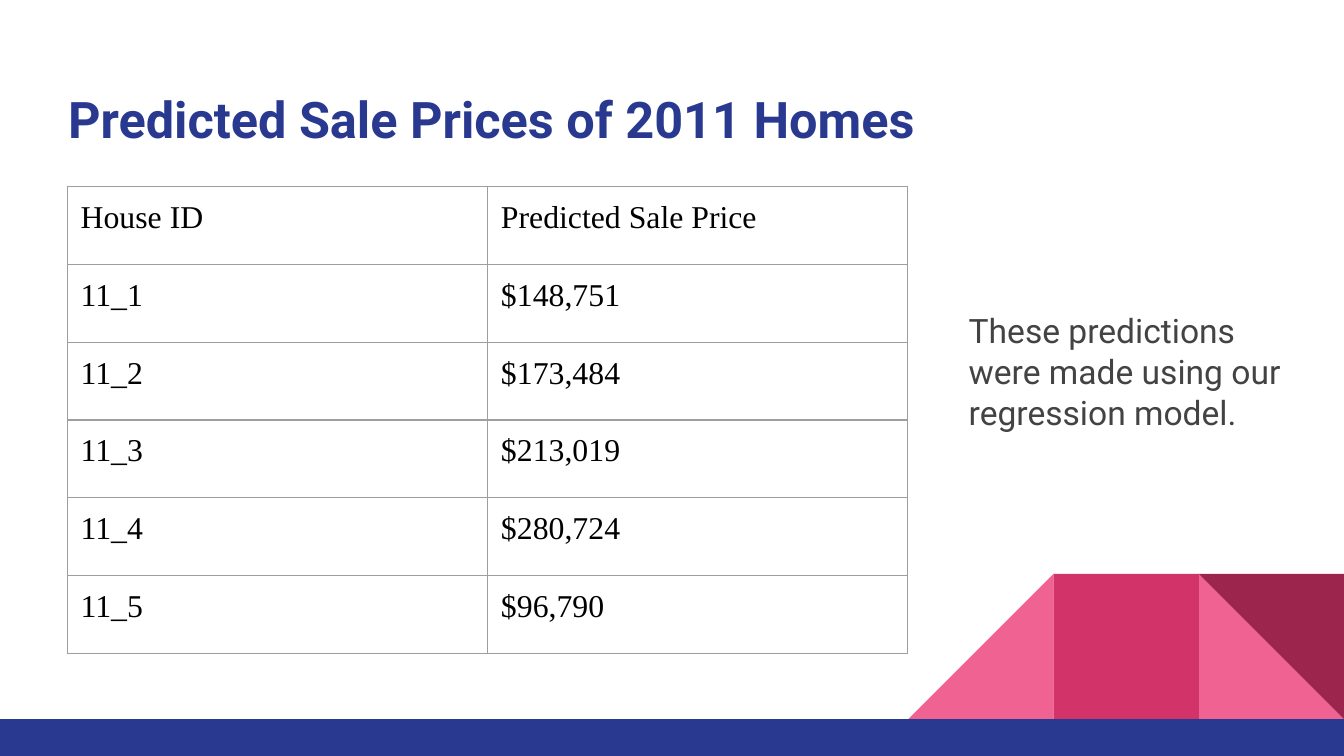
from lxml.etree import SubElement
from pptx import Presentation
from pptx.dml.color import RGBColor
from pptx.enum.shapes import MSO_SHAPE
from pptx.enum.text import MSO_ANCHOR
from pptx.oxml.ns import qn
from pptx.util import Pt

WHITE = RGBColor(0xFF, 0xFF, 0xFF)
BLACK = RGBColor(0x00, 0x00, 0x00)
NAVY = RGBColor(0x2A, 0x39, 0x90)
INK = RGBColor(0x43, 0x43, 0x43)
GRAY = RGBColor(0x9E, 0x9E, 0x9E)
PINK = RGBColor(0xF0, 0x62, 0x92)
ROSE = RGBColor(0xD2, 0x33, 0x69)
WINE = RGBColor(0x9C, 0x25, 0x4D)

WIDE, HIGH = 720, 405
BAR = 19.8
TILE = 77.8
INSET = 7.2

PRICES = [
    ("House ID", "Predicted Sale Price"),
    ("11_1", "$148,751"),
    ("11_2", "$173,484"),
    ("11_3", "$213,019"),
    ("11_4", "$280,724"),
    ("11_5", "$96,790"),
]


class Deck:
    """Holds the style and the current slide."""

    sans = "Roboto"
    serif = "Times New Roman"

    def __init__(self, show):
        self.slide = show.slides.add_slide(show.slide_layouts[6])
        back = self.slide.background.fill
        back.solid()
        back.fore_color.rgb = WHITE

    def shape(self, kind, box, color, turn=0):
        item = self.slide.shapes.add_shape(kind, *map(Pt, box))
        item.shadow.inherit = False
        item.fill.solid()
        item.fill.fore_color.rgb = color
        item.line.fill.background()
        item.rotation = turn

    def add_run(self, para, words, font, size, color, bold=False):
        run = para.add_run()
        run.text = words
        run.font.name = font
        run.font.size = Pt(size)
        run.font.color.rgb = color
        run.font.bold = bold

    def pad(self, item):
        item.margin_left = item.margin_right = Pt(INSET)
        item.margin_top = item.margin_bottom = Pt(INSET)

    def text(self, box, words, size, color, bold=False,
             anchor=MSO_ANCHOR.TOP, space=1.0):
        frame = self.slide.shapes.add_textbox(*map(Pt, box)).text_frame
        frame.word_wrap = True
        frame.vertical_anchor = anchor
        self.pad(frame)
        para = frame.paragraphs[0]
        para.line_spacing = space
        self.add_run(para, words, self.sans, size, color, bold)

    def edge(self, cell):
        """Draw a thin gray line on all four sides of a cell."""
        props = cell._tc.get_or_add_tcPr()
        for side in ("a:lnL", "a:lnR", "a:lnT", "a:lnB"):
            line = SubElement(props, qn(side), w=str(Pt(0.75)))
            fill = SubElement(line, qn("a:solidFill"))
            SubElement(fill, qn("a:srgbClr"), val=str(GRAY))

    def table(self, left, top, wide, high, rows):
        """Place a table whose columns and rows have the given size."""
        count = len(rows[0])
        grid = self.slide.shapes.add_table(
            len(rows), count, Pt(left), Pt(top),
            Pt(wide * count), Pt(high * len(rows))).table
        grid.first_row = grid.horz_banding = False
        for col in grid.columns:
            col.width = Pt(wide)
        for row, words in zip(grid.rows, rows):
            row.height = Pt(high)
            for cell, word in zip(row.cells, words):
                self.pad(cell)
                self.edge(cell)
                cell.fill.background()
                self.add_run(cell.text_frame.paragraphs[0], word,
                             self.serif, 17, BLACK)


def main():
    show = Presentation()
    show.slide_width, show.slide_height = Pt(WIDE), Pt(HIGH)
    deck = Deck(show)

    base = HIGH - BAR
    tiles = [
        (1, MSO_SHAPE.RIGHT_TRIANGLE, PINK, 0),
        (3, MSO_SHAPE.RIGHT_TRIANGLE, PINK, 270),
        (2, MSO_SHAPE.RECTANGLE, ROSE, 0),
        (1, MSO_SHAPE.RIGHT_TRIANGLE, WINE, 180),
    ]
    for step, kind, color, turn in tiles:
        box = (WIDE - step * TILE, base - TILE, TILE, TILE)
        deck.shape(kind, box, color, turn)
    deck.shape(MSO_SHAPE.RECTANGLE, (0, base, WIDE, BAR), NAVY)

    deck.table(36, 100, 225.2, 41.68, PRICES)
    deck.text((29.4, 39.6, 671, 47.5), "Predicted Sale Prices of 2011 Homes",
              27, NAVY, bold=True, anchor=MSO_ANCHOR.BOTTOM)
    deck.text((511.9, 158.4, 182.2, 88.6),
              "These predictions were made using our regression model.",
              18, INK, space=1.02)
    show.save("out.pptx")


if __name__ == "__main__":
    main()
